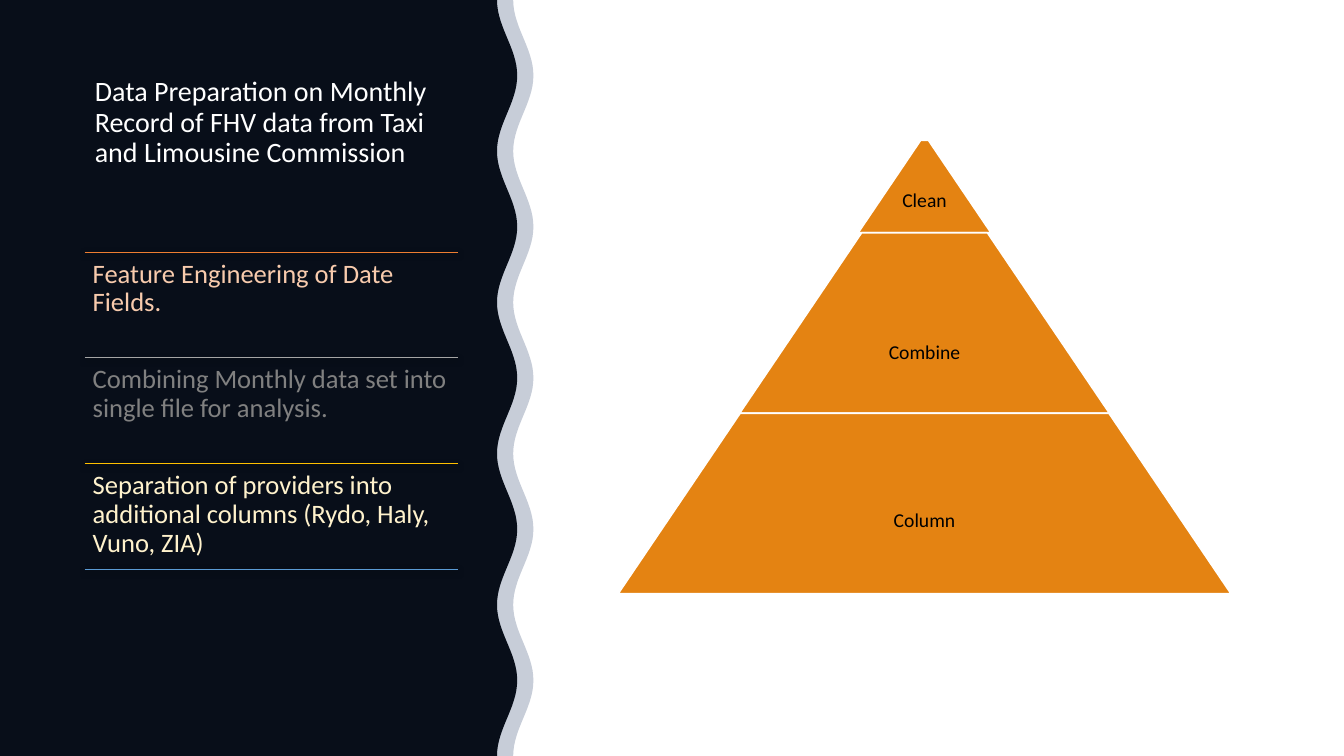
from math import cos, pi

from lxml.etree import SubElement
from pptx import Presentation
from pptx.dml.color import RGBColor
from pptx.enum.shapes import MSO_CONNECTOR, MSO_SHAPE
from pptx.enum.text import MSO_ANCHOR, MSO_AUTO_SIZE, PP_ALIGN
from pptx.oxml.ns import qn
from pptx.util import Emu, Pt

SCALE = 9144
WIDTH, HEIGHT = 1333, 750
FONT = "Calibri"
COLORS = {
    "black": "000000", "white": "FFFFFF", "navy": "203864", "pyramid": "E48312",
    "orange": "ED7D31", "gray": "A5A5A5", "gold": "FFC000", "blue": "5B9BD5",
    "peach": "F8CBAD", "dim": "808080", "cream": "FFF2CC",
}
TITLE = "Data Preparation on Monthly Record of FHV data from Taxi and Limousine Commission"
STEPS = [
    ("Feature Engineering of Date Fields.", "orange", "peach"),
    ("Combining Monthly data set into single file for analysis.", "gray", "dim"),
    ("Separation of providers into additional columns (Rydo, Haly, Vuno, ZIA)", "gold", "cream"),
]
TIERS = [("Clean", 132, 92, 0), ("Combine", 367, 179, 20), ("Column", 608, 179, 11)]


def px(n):
    return Emu(round(n * SCALE))


def rgb(name):
    return RGBColor.from_string(COLORS[name])


def write(tf, text, size, color, align=PP_ALIGN.LEFT):
    p = tf.paragraphs[0]
    p.text = text
    p.alignment = align
    p.line_spacing = 0.9
    p.font.name = FONT
    p.font.size = Pt(size)
    p.font.color.rgb = rgb(color)


def add_wave(s, middle, color, alpha=100):
    amplitude, period, step = 10, 150, 5
    edge = [(px(middle - amplitude * cos(2 * pi * y / period)), px(y))
            for y in range(0, HEIGHT + 1, step)]
    builder = s.shapes.build_freeform(0, 0)
    builder.add_line_segments(edge + [(0, px(HEIGHT))], close=True)
    sp = builder.convert_to_shape()
    sp.shadow.inherit = False
    sp.fill.solid()
    sp.fill.fore_color.rgb = rgb(color)
    sp.line.fill.background()
    if alpha < 100:
        clr = sp.fill._xPr.find(qn("a:solidFill"))[0]
        SubElement(clr, qn("a:alpha")).set("val", str(alpha * 1000))


def add_title(s, left, top, width, height):
    title = s.shapes.title
    title.left, title.top, title.width, title.height = map(px, (left, top, width, height))
    tf = title.text_frame
    tf.word_wrap = True
    tf.auto_size = MSO_AUTO_SIZE.NONE
    tf.vertical_anchor = MSO_ANCHOR.TOP
    write(tf, TITLE, 20, "white")
    title._element.getparent().append(title._element)


def add_rule(s, left, top, width, color):
    rule = s.shapes.add_connector(MSO_CONNECTOR.STRAIGHT, px(left), px(top), px(left + width), px(top))
    rule.line.color.rgb = rgb(color)
    rule.line.width = Pt(0.5)
    effects = SubElement(rule._element.spPr, qn("a:effectLst"))
    shadow = SubElement(effects, qn("a:outerShdw"), blurRad=str(Pt(4.5)), dist=str(Pt(1.5)),
                        dir="5400000", algn="ctr", rotWithShape="0")
    clr = SubElement(shadow, qn("a:srgbClr"), val=COLORS["black"])
    SubElement(clr, qn("a:alpha"), val="63000")


def add_steps(s, left, top, width, height):
    row = height / len(STEPS)
    for i, (text, line, color) in enumerate(STEPS):
        y = top + i * row
        add_rule(s, left, y, width, line)
        tf = s.shapes.add_textbox(px(left), px(y), px(width), px(row)).text_frame
        tf.word_wrap = True
        tf.margin_left = tf.margin_top = tf.margin_right = tf.margin_bottom = px(8)
        write(tf, text, 19, color)
    add_rule(s, left, top + height, width, "blue")


def add_pyramid(s, left, top, width):
    y = top
    for name, base, height, drop in TIERS:
        sp = s.shapes.add_shape(MSO_SHAPE.TRAPEZOID, px(left + (width - base) / 2), px(y),
                                px(base), px(height))
        sp.adjustments[0] = 0.676
        sp.shadow.inherit = False
        sp.fill.solid()
        sp.fill.fore_color.rgb = rgb("pyramid")
        sp.line.color.rgb = rgb("white")
        sp.line.width = Pt(1.25)
        tf = sp.text_frame
        tf.word_wrap = False
        tf.vertical_anchor = MSO_ANCHOR.MIDDLE
        tf.margin_left = tf.margin_right = tf.margin_bottom = px(2)
        tf.margin_top = px(2 + drop)
        write(tf, name, 14, "black", PP_ALIGN.CENTER)
        y += height


def main():
    prs = Presentation()
    prs.slide_width, prs.slide_height = px(WIDTH), px(HEIGHT)
    s = prs.slides.add_slide(prs.slide_layouts[5])
    add_wave(s, 503, "black")
    add_wave(s, 519, "navy", 25)
    add_title(s, 84, 72, 370, 163)
    add_steps(s, 84, 250, 370, 315)
    add_pyramid(s, 613, 139, 608)
    prs.save("out.pptx")


if __name__ == "__main__":
    main()
